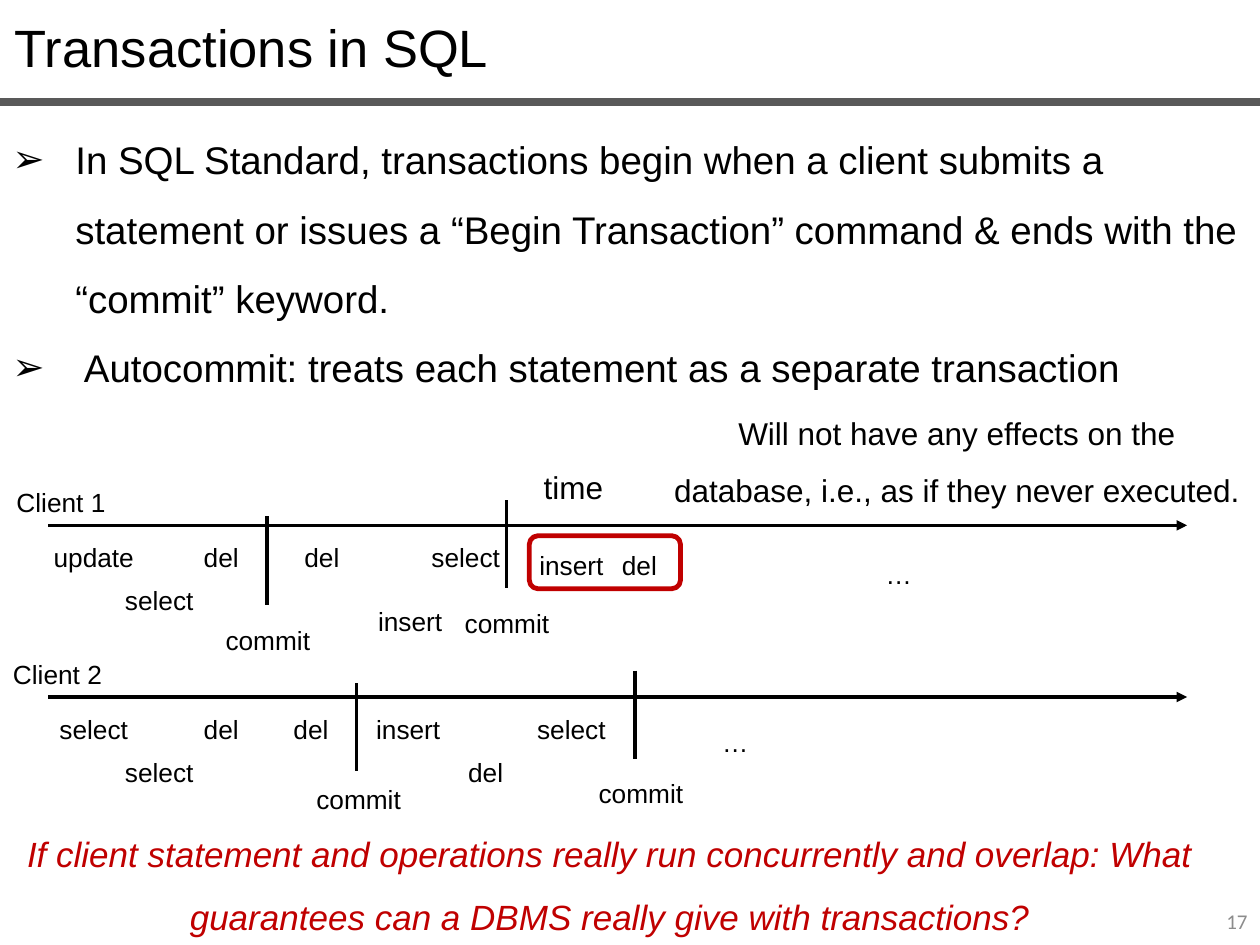
from pptx import Presentation
from pptx.dml.color import RGBColor
from pptx.enum.shapes import MSO_CONNECTOR as Conn, MSO_SHAPE as Shape
from pptx.enum.text import MSO_ANCHOR as Anchor, MSO_AUTO_SIZE as Fit, PP_ALIGN as Align
from pptx.oxml.ns import qn
from pptx.util import Cm, Pt
from lxml.etree import SubElement as Sub

BLACK = RGBColor(0x00, 0x00, 0x00)
DARK = RGBColor(0x59, 0x59, 0x59)
GRAY = RGBColor(0x8C, 0x8C, 0x8C)
RED = RGBColor(0xC0, 0x00, 0x00)


class Deck:
    font = "Arial"
    small = 15
    wide, high = 2.67, 1.09  # size of a word box
    tick = 1.78

    def __init__(self):
        self.prs = Presentation()
        self.prs.slide_width, self.prs.slide_height = Cm(25.4), Cm(19.05)
        self.page = self.prs.slides.add_slide(self.prs.slide_layouts[6])

    def text(self, box, lines, size, color=BLACK, align=Align.CENTER,
             space=1.5, font=None, italic=None, bullet=None):
        frame = self.page.shapes.add_textbox(*map(Cm, box)).text_frame
        frame.word_wrap = True
        frame.auto_size = Fit.SHAPE_TO_FIT_TEXT
        frame.text = lines
        for para in frame.paragraphs:
            if bullet:
                self.mark(para, bullet)
            para.alignment = align
            para.line_spacing = space
            for run in para.runs:
                run.font.name = font or self.font
                run.font.size = Pt(size)
                run.font.italic = italic
                run.font.color.rgb = color
        return frame

    def mark(self, para, char):
        props = para._p.get_or_add_pPr()
        props.set("marL", str(Cm(1.27)))
        props.set("indent", str(Cm(-1.27)))
        Sub(props, qn("a:buFont"), typeface="Wingdings 3" if char == "}" else "Arial")
        Sub(props, qn("a:buChar"), char=char)

    def word(self, mid, top, word):
        box = (mid - self.wide / 2, top, self.wide, self.high)
        self.text(box, word, self.small)

    def line(self, x1, y1, x2, y2, width=2, color=BLACK, arrow=False):
        line = self.page.shapes.add_connector(Conn.STRAIGHT, *map(Cm, (x1, y1, x2, y2)))
        line.line.width = Pt(width)
        line.line.color.rgb = color
        if arrow:
            Sub(line.line._get_or_add_ln(), qn("a:tailEnd"), type="triangle")
        Sub(line._element.spPr, qn("a:effectLst"))

    def frame(self, box, width, color):
        shape = self.page.shapes.add_shape(Shape.ROUNDED_RECTANGLE, *map(Cm, box))
        shape.shadow.inherit = False
        shape.fill.background()
        shape.line.width = Pt(width)
        shape.line.color.rgb = color

    def client(self, name, mid, axis, words, ticks):
        """Draw a time axis; words and ticks are placed relative to it."""
        self.line(0.97, axis, 23.93, axis, arrow=True)
        self.word(mid, axis - 1.22, name)
        for x, drop, word in words:
            self.word(x, axis + drop, word)
        for x, rise in ticks:
            self.line(x, axis - rise, x, axis - rise + self.tick)


ROW, LOW = -0.11, 0.75  # upper and lower row of words

FIRST = [
    (1.89, ROW, "update"), (3.21, LOW, "select"), (4.46, ROW, "del"),
    (5.4, 1.55, "commit"), (6.49, ROW, "del"), (8.27, 1.17, "insert"),
    (9.39, ROW, "select"), (10.22, 1.22, "commit"), (11.52, 0.05, "insert"),
    (12.89, 0.05, "del"), (18.12, 0.23, "…"),
]
SECOND = [
    (1.89, ROW, "select"), (3.21, LOW, "select"), (4.46, ROW, "del"),
    (6.27, ROW, "del"), (7.23, 1.3, "commit"), (8.23, ROW, "insert"),
    (9.79, LOW, "del"), (11.52, ROW, "select"), (12.92, 1.17, "commit"),
    (14.82, 0.15, "…"),
]
POINTS = (
    "In SQL Standard, transactions begin when a client submits a statement or "
    "issues a “Begin Transaction” command & ends with the “commit” keyword.\n"
    " Autocommit: treats each statement as a separate transaction"
)


def main():
    deck = Deck()

    # Title and rule
    deck.text((0.05, 0.18, 25.35, 1.55), "Transactions in SQL", 30,
              align=Align.LEFT, space=1.0)
    deck.line(0, 2.06, 25.4, 2.06, 4.5, DARK)

    # Bullet points
    deck.text((0, 2.16, 25.4, 5.72), POINTS, 22, align=Align.LEFT, bullet="➢")

    # Timelines
    deck.client("Client 1", 1.23, 10.59, FIRST, [(5.38, 0.18), (10.21, 0.51)])
    deck.client("Client 2", 1.16, 14.05, SECOND, [(7.19, 0.28), (12.8, 0.53)])
    deck.text((10.57, 8.92, 1.98, 1.27), "time", 18)

    # Uncommitted work
    deck.frame((10.67, 10.8, 3.05, 1.07), 2.75, RED)
    deck.text((13.23, 7.85, 12.12, 2.41), "Will not have any effects on the "
              "database, i.e., as if they never executed.", 18)

    # Closing question and page number
    deck.text((-0.15, 16.23, 24.89, 2.67), "If client statement and operations "
              "really run concurrently and overlap: What guarantees can a DBMS "
              "really give with transactions?", 20, RED, italic=True)
    foot = deck.text((19.48, 18.06, 5.92, 1.02), "17", 12, GRAY, Align.RIGHT,
                     1.0, "Calibri")
    foot.auto_size = Fit.NONE
    foot.vertical_anchor = Anchor.MIDDLE

    deck.prs.save("out.pptx")


if __name__ == "__main__":
    main()
